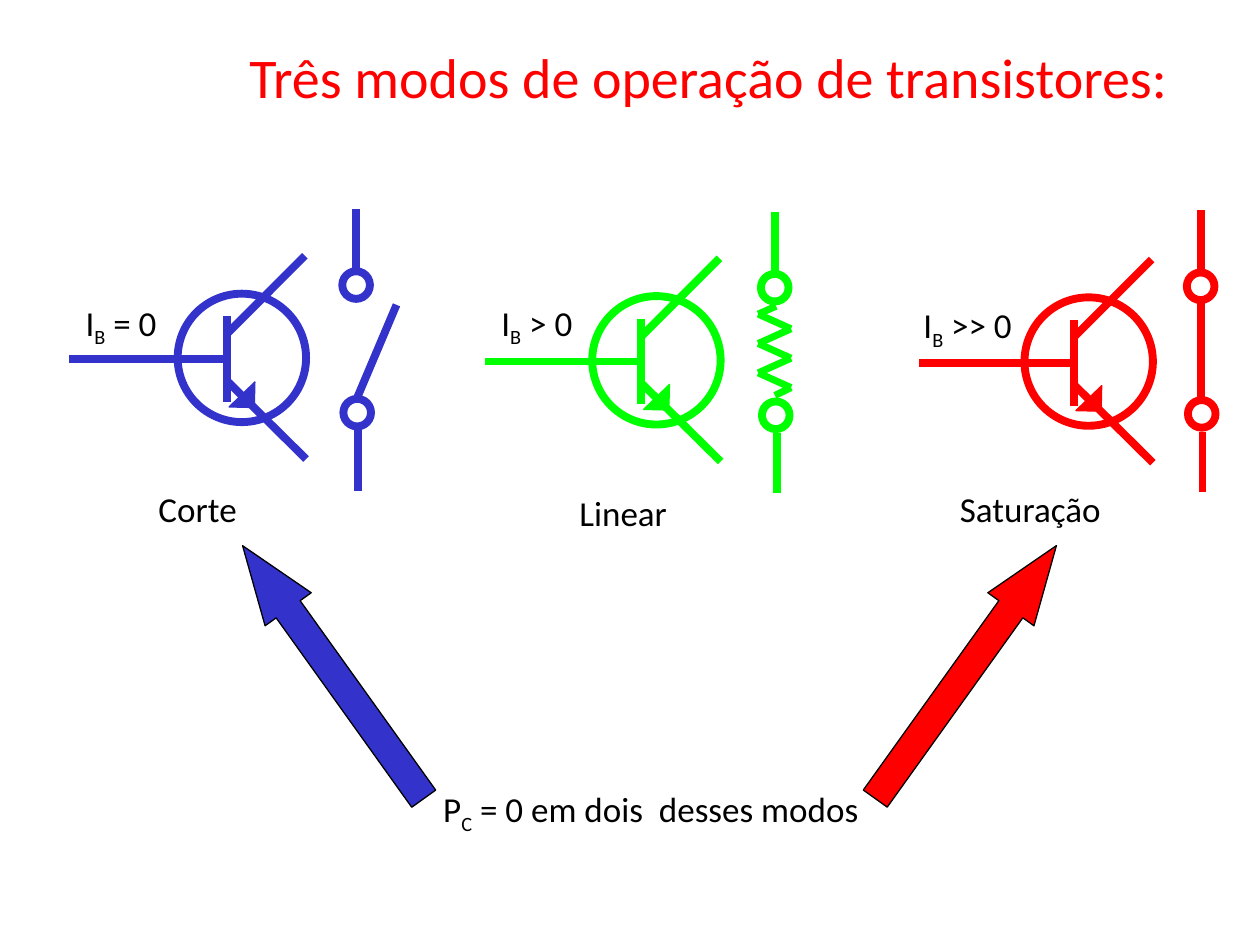
from dataclasses import dataclass
from itertools import pairwise

from lxml.etree import SubElement
from pptx import Presentation
from pptx.dml.color import RGBColor
from pptx.enum.shapes import MSO_CONNECTOR, MSO_SHAPE
from pptx.enum.text import MSO_AUTO_SIZE
from pptx.oxml.ns import qn
from pptx.util import Pt


@dataclass(frozen=True)
class Theme:
    font: str = "Calibri"
    title_size: float = 32
    label_size: float = 20
    ink: str = "000000"
    cutoff: str = "3333CC"
    linear: str = "00FF00"
    saturation: str = "FF0000"
    stroke: float = 4.5
    resistor_stroke: float = 4
    outline: float = 0.75


class Diagram:
    def __init__(self, slide, theme):
        self.slide = slide
        self.theme = theme

    def text(self, left, top, width, height, parts, size=None, color=None):
        """Write parts on one line; every second part is a subscript."""
        box = self.slide.shapes.add_textbox(Pt(left), Pt(top), Pt(width), Pt(height))
        frame = box.text_frame
        frame.word_wrap = False
        frame.auto_size = MSO_AUTO_SIZE.SHAPE_TO_FIT_TEXT
        paragraph = frame.paragraphs[0]
        paragraph.font.name = self.theme.font
        paragraph.font.size = Pt(size or self.theme.label_size)
        paragraph.font.color.rgb = RGBColor.from_string(color or self.theme.ink)
        for index, part in enumerate(parts):
            run = paragraph.add_run()
            run.text = part
            if index % 2:
                run.font._element.set("baseline", "-25000")

    def line(self, start, end, color, width=None, parent=None):
        connector = (parent or self.slide).shapes.add_connector(
            MSO_CONNECTOR.STRAIGHT, *(Pt(value) for value in (*start, *end)))
        connector.line.color.rgb = RGBColor.from_string(color)
        connector.line.width = Pt(width or self.theme.stroke)
        SubElement(connector._element.spPr, qn("a:effectLst"))

    def shape(self, kind, left, top, width, height, line, line_width,
              fill=None, rotation=0, parent=None):
        shape = (parent or self.slide).shapes.add_shape(
            kind, Pt(left), Pt(top), Pt(width), Pt(height))
        shape.shadow.inherit = False
        shape.rotation = rotation
        if fill:
            shape.fill.solid()
            shape.fill.fore_color.rgb = RGBColor.from_string(fill)
        else:
            shape.fill.background()
        shape.line.color.rgb = RGBColor.from_string(line)
        shape.line.width = Pt(line_width)
        return shape

    def ring(self, left, top, diameter, color, parent=None):
        self.shape(MSO_SHAPE.OVAL, left, top, diameter, diameter, color,
                   self.theme.stroke, parent=parent)

    def transistor(self, x, y, color, base_end):
        """Draw the symbol whose circle has its frame corner at x, y."""
        self.ring(x, y, 73.4, color)
        emitter = self.slide.shapes.add_group_shape()
        self.line((x + 28.8, y + 50.4), (x + 73.4, y + 94.5), color, parent=emitter)
        self.shape(MSO_SHAPE.RIGHT_TRIANGLE, x + 29.5, y + 50.4, 14.6, 14.4, color,
                   self.theme.outline, fill=color, rotation=271.3, parent=emitter)
        base, collector, bar = (
            ((27.2, 37.4), (base_end - x, 37.4)),
            ((28.1, 23), (72.7, -21.6)),
            ((28.1, 13), (28.1, 61.9)),
        )
        for start, end in (base, collector, bar):
            self.line((x + start[0], y + start[1]), (x + end[0], y + end[1]), color)

    def switch(self, x, y, color, contact, width=None, grouped=False):
        """Draw two terminals with leads; contact holds the segments between them."""
        parent = self.slide.shapes.add_group_shape() if grouped else None
        for left, top in ((-8, 35.5), (-7.4, 108.4)):
            self.ring(x + left, y + top, 15.8, color, parent)
        for start, end in contact:
            self.line((x + start[0], y + start[1]), (x + end[0], y + end[1]),
                      color, width, parent)
        self.line((x + 1, y + 126.5), (x + 1, y + 161), color, parent=parent)
        self.line((x, y), (x, y + 35), color, parent=parent)

    def block_arrow(self, left, top, color, rotation):
        arrow = self.shape(MSO_SHAPE.UP_ARROW, left, top, 32.4, 177.8, self.theme.ink,
                           self.theme.outline, fill=color, rotation=rotation)
        arrow.adjustments[0] = 0.52
        arrow.adjustments[1] = 1.38


def main():
    presentation = Presentation()
    presentation.slide_width = Pt(720)
    presentation.slide_height = Pt(540)
    theme = Theme()
    diagram = Diagram(presentation.slides.add_slide(presentation.slide_layouts[6]), theme)

    diagram.text(135.4, 20.9, 544.3, 46.1, ["Três modos de operação de transistores:"],
                 theme.title_size, theme.saturation)

    # Each mode: circle corner, end of the base lead, condition box, name box
    modes = [
        (theme.cutoff, (101.5, 167.8), 39.6, " = 0", (41.8, 168.5, 56.9),
         "Corte", (83.5, 275, 60.5)),
        (theme.linear, (338.4, 169.2), 277.2, " > 0", (279.4, 168.5, 56.9),
         "Linear", (324, 277.2, 66.2)),
        (theme.saturation, (585.4, 169.9), 524.9, " >> 0", (520.6, 169.9, 67),
         "Saturação", (541.4, 275, 97.9)),
    ]
    label_height = 31.7
    for color, corner, base_end, condition, condition_box, name, name_box in modes:
        diagram.transistor(*corner, color, base_end)
        diagram.text(*condition_box, label_height, ["I", "B", condition])
        diagram.text(*name_box, label_height, [name])

    zigzag = [(9.2 if i % 2 else -9.5, 58.5 + 8.4 * i) for i in range(6)]
    resistor = list(pairwise([(0.7, 54), *zigzag, (0, 105)]))
    diagram.switch(203.6, 119.5, theme.cutoff, [((0.7, 107.3), (23, 54.7))])
    diagram.switch(442.8, 121, theme.linear, resistor, theme.resistor_stroke, grouped=True)
    diagram.switch(686.2, 120.2, theme.saturation, [((0, 106.6), (0, 52.6))])

    diagram.text(246.2, 446.4, 258.5, label_height,
                 ["P", "C", " = 0 em dois  desses modos"])
    diagram.block_arrow(174.2, 295.2, theme.cutoff, -35.6)
    diagram.block_arrow(535.7, 295.2, theme.saturation, 35.6)

    presentation.save("out.pptx")


if __name__ == "__main__":
    main()
